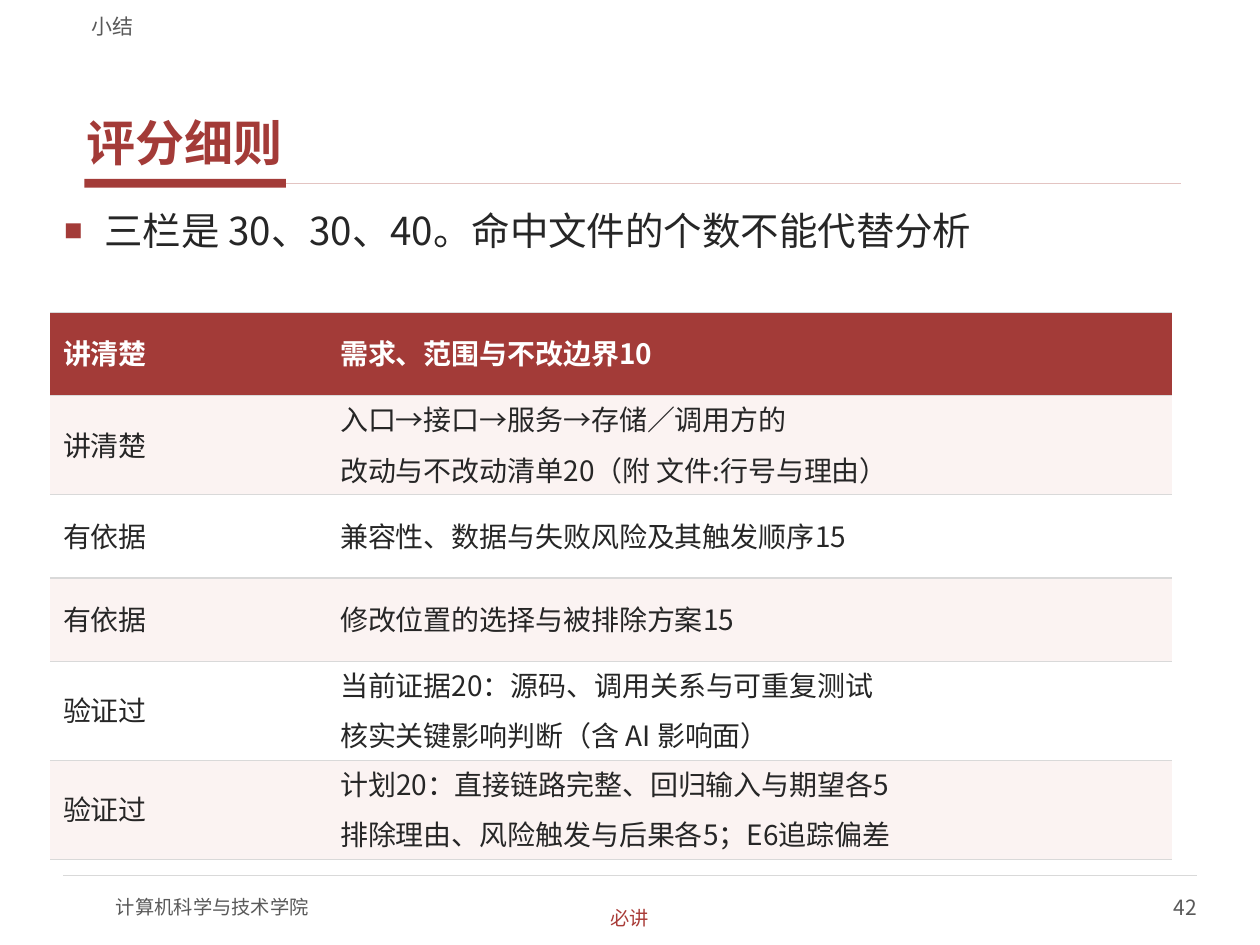
from dataclasses import dataclass

from lxml.etree import SubElement
from pptx import Presentation
from pptx.dml.color import RGBColor
from pptx.enum.shapes import MSO_CONNECTOR, MSO_SHAPE
from pptx.enum.text import MSO_ANCHOR, PP_ALIGN
from pptx.oxml.ns import qn
from pptx.util import Pt

FONT = "Noto Sans CJK SC"
COLORS = {
    "accent": "A33B38",
    "required": "A93B37",
    "title_rule": "E3C4C2",
    "hairline": "D9D9D9",
    "muted": "595959",
    "body": "262626",
    "band": "FBF3F2",
    "white": "FFFFFF",
}


@dataclass(frozen=True)
class Style:
    size: float
    color: str
    bold: bool = False
    before: float = 0
    after: float = 0
    spacing: float | None = None
    align: PP_ALIGN = PP_ALIGN.LEFT


@dataclass(frozen=True)
class Label:
    text: str
    box: tuple[float, float, float, float]
    style: Style
    anchor: MSO_ANCHOR = MSO_ANCHOR.MIDDLE
    inset: tuple[float, float] = (0, 0)
    wrap: bool = True
    bullet: bool = False


@dataclass(frozen=True)
class Rule:
    left: float
    right: float
    y: float
    color: str
    width: float


RULES = [
    Rule(163.44, 674.64, 104.8, "title_rule", 1),
    Rule(36, 684, 500.4, "hairline", 0.75),
]
LABELS = [
    Label("计算机科学与技术学院", (66.24, 504, 288, 28.8), Style(11, "muted")),
    Label("42", (540, 504, 144, 28.8), Style(12, "muted", align=PP_ALIGN.RIGHT)),
    Label("评分细则", (45.36, 23.76, 630, 75.6),
          Style(28, "accent", bold=True, after=2), MSO_ANCHOR.BOTTOM, (4.32, 1.44)),
    Label("三栏是 30、30、40。命中文件的个数不能代替分析", (32.4, 116.64, 655.2, 56.16),
          Style(22, "body", after=2), MSO_ANCHOR.TOP, (4.32, 1.44), bullet=True),
    Label("小结", (45.36, 2.88, 630, 19.44), Style(12, "muted"), MSO_ANCHOR.BOTTOM, (7.2, 0)),
    Label("必讲", (316.8, 516.96, 86.4, 15.12),
          Style(11, "required", align=PP_ALIGN.CENTER), wrap=False),
]
CRITERIA = [
    ("讲清楚", "需求、范围与不改边界10"),
    ("讲清楚", "入口→接口→服务→存储／调用方的\n改动与不改动清单20（附 文件:行号与理由）"),
    ("有依据", "兼容性、数据与失败风险及其触发顺序15"),
    ("有依据", "修改位置的选择与被排除方案15"),
    ("验证过", "当前证据20：源码、调用关系与可重复测试\n核实关键影响判断（含 AI 影响面）"),
    ("验证过", "计划20：直接链路完整、回归输入与期望各5\n排除理由、风险触发与后果各5；E6追踪偏差"),
]
COLUMN_WIDTHS = (158.4, 482.4)
ONE_LINE_HEIGHT = 47.52
TWO_LINE_HEIGHT = 56.7
HEADER_STYLE = Style(16, "white", bold=True, before=6, after=2, spacing=0.9)
ROW_STYLE = Style(16, "body", before=6, after=2, spacing=0.9)


def rgb(name: str) -> RGBColor:
    return RGBColor.from_string(COLORS[name])


def style_paragraph(paragraph, style: Style, first: bool = True) -> None:
    paragraph.alignment = style.align
    paragraph.space_before = Pt(0 if first else style.before)
    paragraph.space_after = Pt(style.after)
    if style.spacing:
        paragraph.line_spacing = style.spacing
    font = paragraph.font
    font.name = FONT
    font.size = Pt(style.size)
    font.bold = style.bold
    font.color.rgb = rgb(style.color)
    SubElement(font._element, qn("a:ea"), typeface=FONT)


def add_bullet(paragraph) -> None:
    properties = paragraph._p.get_or_add_pPr()
    properties.set("marL", str(Pt(23.04)))
    properties.set("indent", str(-Pt(23.04)))
    bullet_color = SubElement(properties, qn("a:buClr"))
    SubElement(bullet_color, qn("a:srgbClr"), val=COLORS["accent"])
    SubElement(properties, qn("a:buSzPct"), val="80000")
    SubElement(properties, qn("a:buFont"), typeface="Arial")
    SubElement(properties, qn("a:buChar"), char="■")


def add_label(slide, label: Label) -> None:
    frame = slide.shapes.add_textbox(*map(Pt, label.box)).text_frame
    frame.word_wrap = label.wrap
    frame.vertical_anchor = label.anchor
    frame.margin_left = frame.margin_right = Pt(label.inset[0])
    frame.margin_top = frame.margin_bottom = Pt(label.inset[1])
    frame.text = label.text
    paragraph = frame.paragraphs[0]
    if label.bullet:
        add_bullet(paragraph)
    style_paragraph(paragraph, label.style)


def add_rule(slide, rule: Rule) -> None:
    line = slide.shapes.add_connector(
        MSO_CONNECTOR.STRAIGHT, Pt(rule.left), Pt(rule.y), Pt(rule.right), Pt(rule.y))
    line.line.color.rgb = rgb(rule.color)
    line.line.width = Pt(rule.width)
    SubElement(line._element.spPr, qn("a:effectLst"))


def add_title_bar(slide) -> None:
    bar = slide.shapes.add_shape(
        MSO_SHAPE.RECTANGLE, Pt(48.24), Pt(102.24), Pt(115.2), Pt(5.04))
    bar.shadow.inherit = False
    bar.fill.solid()
    bar.fill.fore_color.rgb = rgb("accent")
    bar.line.fill.background()


def border_cell(cell) -> None:
    properties = cell._tc.get_or_add_tcPr()
    for side in ("lnL", "lnR"):
        SubElement(SubElement(properties, qn(f"a:{side}"), w="0"), qn("a:noFill"))
    for side in ("lnT", "lnB"):
        border = SubElement(properties, qn(f"a:{side}"), w=str(Pt(0.75)))
        fill = SubElement(border, qn("a:solidFill"))
        SubElement(fill, qn("a:srgbClr"), val=COLORS["hairline"])


def fill_cell(cell, text: str, style: Style, background: str) -> None:
    cell.text = text
    cell.vertical_anchor = MSO_ANCHOR.MIDDLE
    border_cell(cell)
    cell.fill.solid()
    cell.fill.fore_color.rgb = rgb(background)
    for index, paragraph in enumerate(cell.text_frame.paragraphs):
        style_paragraph(paragraph, style, first=index == 0)


def add_criteria(slide) -> None:
    heights = [TWO_LINE_HEIGHT if "\n" in detail else ONE_LINE_HEIGHT for _, detail in CRITERIA]
    table = slide.shapes.add_table(
        len(CRITERIA), len(COLUMN_WIDTHS), Pt(28.8), Pt(178.56),
        Pt(sum(COLUMN_WIDTHS)), Pt(sum(heights))).table
    table.horz_banding = False
    for column, width in zip(table.columns, COLUMN_WIDTHS):
        column.width = Pt(width)
    for index, (criterion, height) in enumerate(zip(CRITERIA, heights)):
        table.rows[index].height = Pt(height)
        style = ROW_STYLE if index else HEADER_STYLE
        background = ("band" if index % 2 else "white") if index else "accent"
        for cell, text in zip(table.rows[index].cells, criterion):
            fill_cell(cell, text, style, background)


def main() -> None:
    """Build the grading criteria slide."""
    presentation = Presentation()
    presentation.slide_width = Pt(720)
    presentation.slide_height = Pt(540)
    slide = presentation.slides.add_slide(presentation.slide_layouts[6])
    add_title_bar(slide)
    for rule in RULES:
        add_rule(slide, rule)
    for label in LABELS:
        add_label(slide, label)
    add_criteria(slide)
    presentation.save("out.pptx")


if __name__ == "__main__":
    main()
